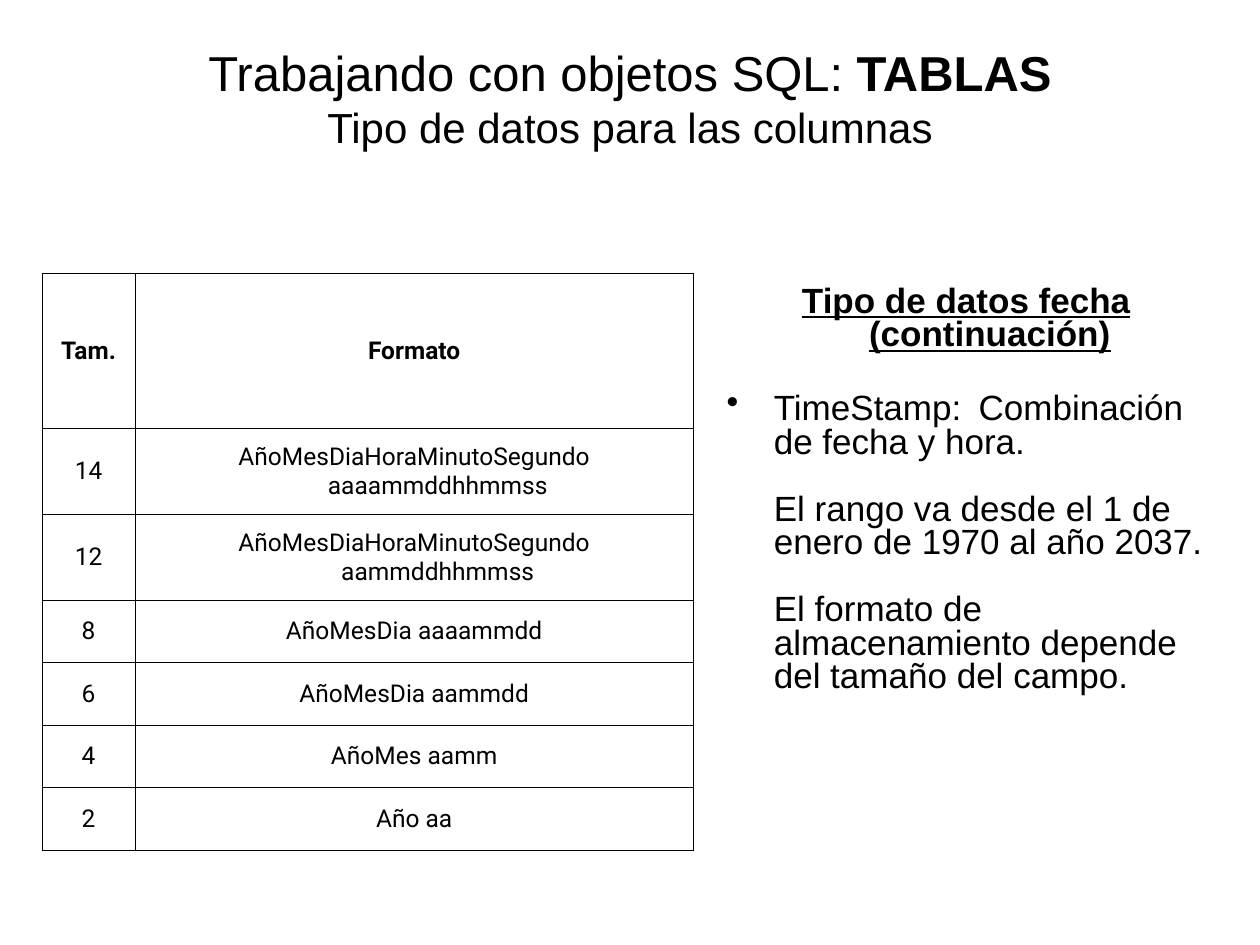
from dataclasses import dataclass

from lxml.etree import SubElement
from pptx import Presentation
from pptx.dml.color import RGBColor
from pptx.enum.text import MSO_ANCHOR, PP_ALIGN
from pptx.oxml import parse_xml
from pptx.oxml.ns import nsdecls, qn
from pptx.util import Cm, Pt


@dataclass(frozen=True)
class Theme:
    ink: str = "000000"
    text_font: str = "Arial"
    table_font: str = "Roboto"
    title: int = 28
    subtitle: int = 24
    body: int = 20
    table: int = 14
    border: float = 0.45


theme = Theme()
HANGING = Cm(0.95)


def add_run(paragraph, text, size, name=theme.text_font, **font_values):
    run = paragraph.add_run()
    run.text = text
    run.font.color.rgb = RGBColor.from_string(theme.ink)
    for attribute, value in {"size": Pt(size), "name": name, **font_values}.items():
        setattr(run.font, attribute, value)


def set_indent(paragraph, first_line):
    """Indent the paragraph by HANGING, with its first line offset from there."""
    properties = paragraph._p.get_or_add_pPr()
    properties.set("marL", str(HANGING))
    properties.set("indent", str(first_line))
    return properties


presentation = Presentation()
presentation.slide_width = Cm(25.4)
presentation.slide_height = Cm(19.05)
slide = presentation.slides.add_slide(presentation.slide_layouts[6])

# Title
title_box = slide.shapes.add_textbox(Cm(1.27), Cm(0.76), Cm(22.86), Cm(2.41))
title_frame = title_box.text_frame
title_frame.word_wrap = True
title_frame.vertical_anchor = MSO_ANCHOR.MIDDLE
paragraph = title_frame.paragraphs[0]
paragraph.alignment = PP_ALIGN.CENTER
add_run(paragraph, "Trabajando con objetos SQL: ", theme.title)
add_run(paragraph, "TABLAS", theme.title, bold=True)
paragraph.add_line_break()
add_run(paragraph, "Tipo de datos para las columnas", theme.subtitle)

# Explanation: text, space before, first-line offset, alignment, font values
explanation = [
    ("Tipo de datos fecha (continuación)", 0, -HANGING, PP_ALIGN.CENTER,
     {"bold": True, "underline": True}),
    ("TimeStamp: \tCombinación de fecha y hora.", 23, -HANGING, PP_ALIGN.LEFT, {}),
    ("El rango va desde el 1 de enero de 1970 al año 2037.", 19, 0, PP_ALIGN.LEFT, {}),
    ("El formato de almacenamiento depende del tamaño del campo.", 19, 0,
     PP_ALIGN.LEFT, {}),
]
explanation_box = slide.shapes.add_textbox(Cm(14.4), Cm(4.65), Cm(10.16), Cm(12.5))
explanation_frame = explanation_box.text_frame
explanation_frame.word_wrap = True
explanation_frame.margin_top = Cm(1.12)
for index, (text, space, first_line, alignment, font_values) in enumerate(explanation):
    paragraph = explanation_frame.add_paragraph() if index else explanation_frame.paragraphs[0]
    paragraph.alignment = alignment
    paragraph.line_spacing = 0.8
    paragraph.space_before = Pt(space)
    properties = set_indent(paragraph, first_line)
    if "\t" in text:
        SubElement(properties, qn("a:buChar")).set("char", "•")
        tabs = SubElement(properties, qn("a:tabLst"))
        for inch in (1, 2, 3):
            tab = SubElement(tabs, qn("a:tab"))
            tab.set("pos", str(Cm(2.54 * inch)))
            tab.set("algn", "l")
    add_run(paragraph, text, theme.body, **font_values)

# Table of formats
rows = [
    ("Tam.", "Formato"),
    ("14", "AñoMesDiaHoraMinutoSegundo aaaammddhhmmss"),
    ("12", "AñoMesDiaHoraMinutoSegundo aammddhhmmss"),
    ("8", "AñoMesDia aaaammdd"),
    ("6", "AñoMesDia aammdd"),
    ("4", "AñoMes aamm"),
    ("2", "Año aa"),
]
column_widths = [1.87, 11.26]
row_heights = [3.13] + [1.73] * 2 + [1.26] * 4
table_frame = slide.shapes.add_table(
    len(rows), len(column_widths), Cm(0.85), Cm(5.51),
    Cm(sum(column_widths)), Cm(sum(row_heights)))
table = table_frame.table
table.horz_banding = False
for column, width in zip(table.columns, column_widths):
    column.width = Cm(width)
for row, height in zip(table.rows, row_heights):
    row.height = Cm(height)
for row_index, texts in enumerate(rows):
    for column_index, text in enumerate(texts):
        cell = table.cell(row_index, column_index)
        cell.fill.background()
        cell.vertical_anchor = MSO_ANCHOR.MIDDLE
        cell_properties = cell._tc.get_or_add_tcPr()
        for position, side in enumerate(("lnL", "lnR", "lnT", "lnB")):
            cell_properties.insert(position, parse_xml(
                f'<a:{side} {nsdecls("a")} w="{Pt(theme.border)}"><a:solidFill>'
                f'<a:srgbClr val="{theme.ink}"/></a:solidFill></a:{side}>'))
        paragraph = cell.text_frame.paragraphs[0]
        paragraph.alignment = PP_ALIGN.CENTER
        set_indent(paragraph, -HANGING)
        add_run(paragraph, text, theme.table, theme.table_font, bold=row_index == 0)

presentation.save("out.pptx")
